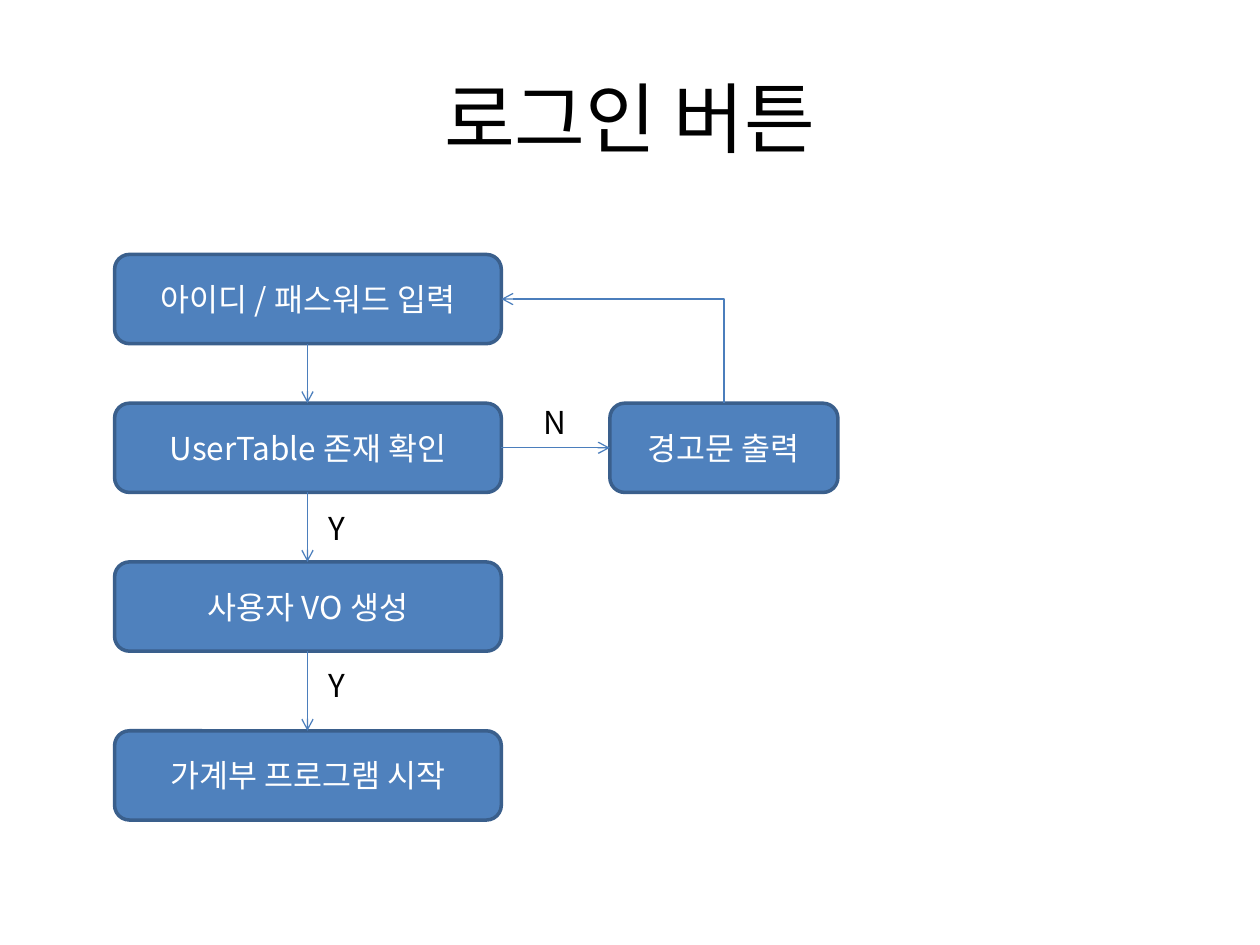
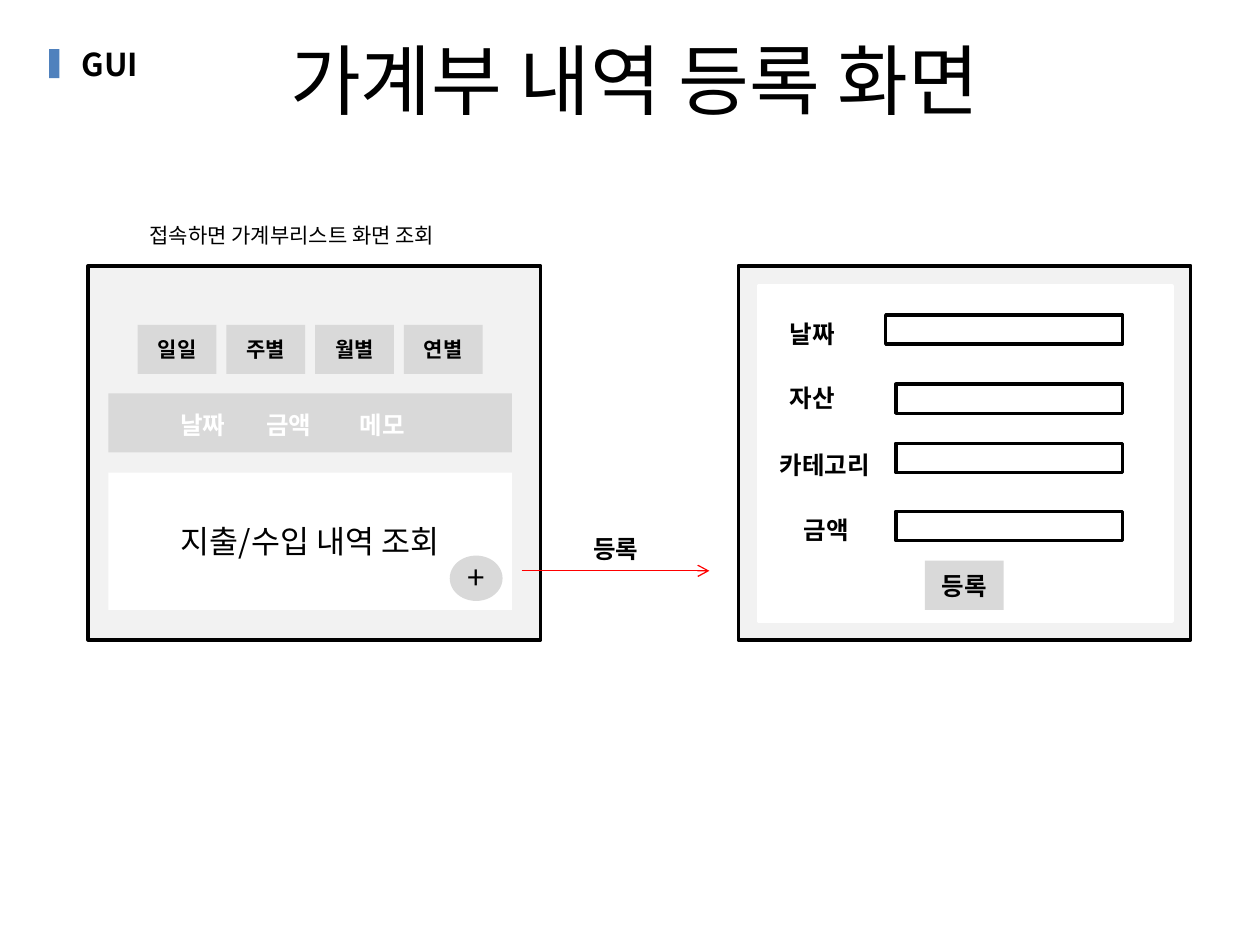
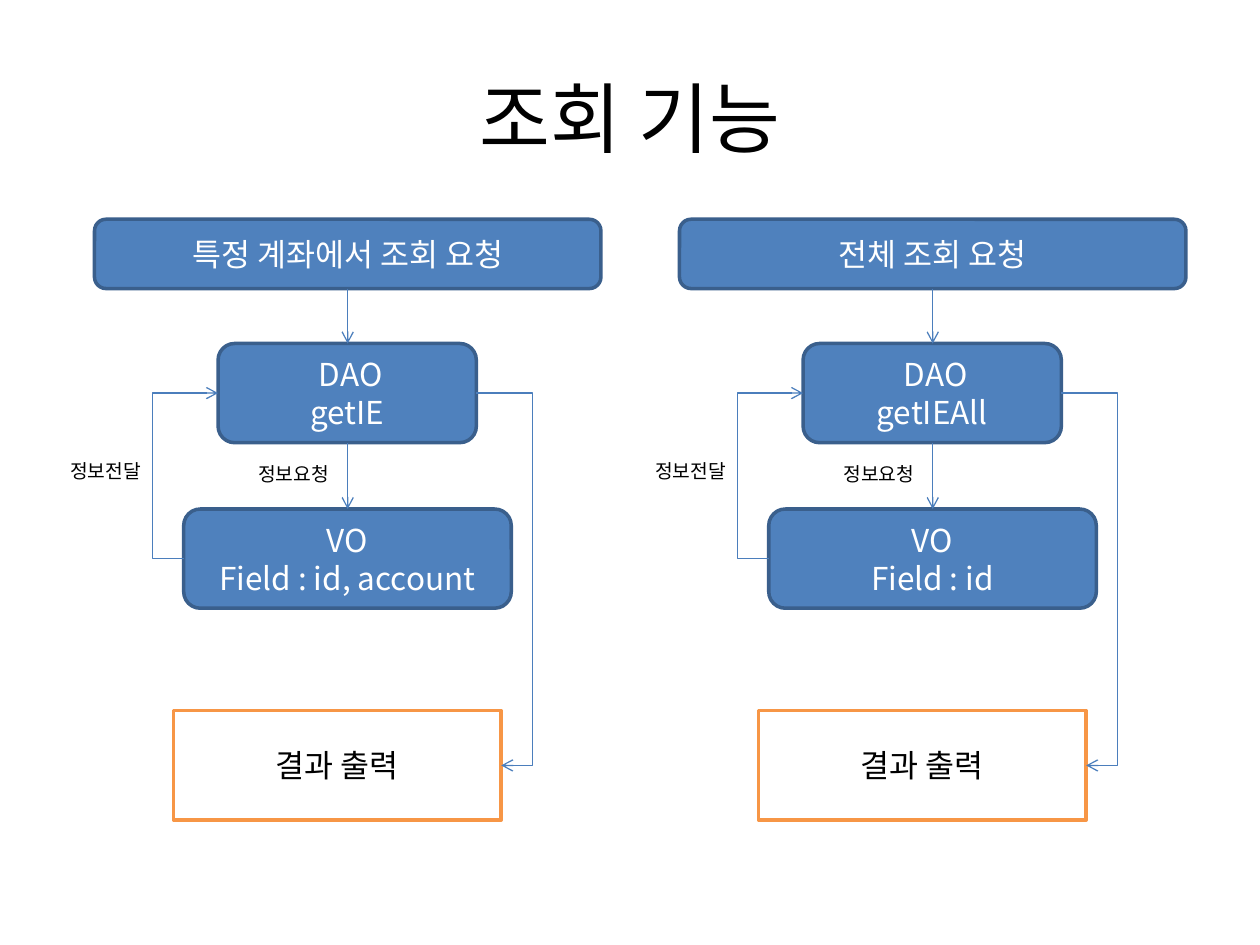
from dataclasses import dataclass

from lxml.etree import SubElement
from pptx import Presentation
from pptx.dml.color import RGBColor
from pptx.enum.shapes import MSO_CONNECTOR as Link, MSO_SHAPE as Preset
from pptx.enum.text import MSO_ANCHOR as Anchor, MSO_AUTO_SIZE as Fit, PP_ALIGN as Align
from pptx.oxml.ns import qn
from pptx.util import Pt

FONT = "Noto Sans CJK KR"
COLORS = {
    "blue": "4F81BD", "blue_edge": "3A5F8C", "arrow": "4B7EBC", "orange": "F79646",
    "red": "FF0000", "black": "000000", "white": "FFFFFF",
    "window": "F2F2F2", "button": "D9D9D9",
}


@dataclass(frozen=True)
class Style:
    preset: Preset
    fill: str
    edge: str | None = None
    text: str = "black"
    size: float = 18
    bold: bool = False


STEP = Style(Preset.ROUNDED_RECTANGLE, "blue", "blue_edge", "white")
RESULT = Style(Preset.RECTANGLE, "white", "orange")
WINDOW = Style(Preset.RECTANGLE, "window", "black")
FORM = Style(Preset.RECTANGLE, "white", "white")
FIELD = Style(Preset.RECTANGLE, "white", "black")
PANEL = Style(Preset.RECTANGLE, "white")
BAND = Style(Preset.RECTANGLE, "button")
TAB = Style(Preset.RECTANGLE, "button", size=12, bold=True)
BUTTON = Style(Preset.RECTANGLE, "button", size=14, bold=True)
ROUND_BUTTON = Style(Preset.OVAL, "button")
MARKER = Style(Preset.RECTANGLE, "blue")


@dataclass(frozen=True)
class Box:
    left: float
    top: float
    width: float
    height: float
    style: Style
    text: str = ""

    @property
    def right(self) -> float:
        return self.left + self.width

    @property
    def bottom(self) -> float:
        return self.top + self.height

    @property
    def center(self) -> float:
        return self.left + self.width / 2

    @property
    def middle(self) -> float:
        return self.top + self.height / 2


def rgb(name: str) -> RGBColor:
    return RGBColor.from_string(COLORS[name])


def write(frame, text: str, *, size: float = 18, color: str = "black", bold: bool = False,
          align=Align.CENTER, anchor=Anchor.TOP, wrap: bool = True, fit=Fit.NONE,
          tabs: tuple[float, ...] = ()) -> None:
    frame.word_wrap = wrap
    frame.auto_size = fit
    frame.vertical_anchor = anchor
    for index, line in enumerate(text.split("\n")):
        para = frame.add_paragraph() if index else frame.paragraphs[0]
        para.alignment = align
        span = para.add_run()
        span.text = line
        span.font.size = Pt(size)
        span.font.bold = bold
        span.font.color.rgb = rgb(color)
        span.font.name = FONT
        SubElement(span.font._element, qn("a:ea"), typeface=FONT)
        if tabs:
            stops = SubElement(para._p.get_or_add_pPr(), qn("a:tabLst"))
            for stop in tabs:
                SubElement(stops, qn("a:tab"), pos=str(Pt(stop)), algn="l")


def add_title(page, text: str, left: float = 36, top: float = 21.6, width: float = 648,
              height: float = 90, anchor=Anchor.MIDDLE) -> None:
    title = page.shapes.title
    title.left, title.top, title.width, title.height = map(Pt, (left, top, width, height))
    write(title.text_frame, text, size=44, anchor=anchor)


def add_box(page, box: Box) -> None:
    style = box.style
    shape = page.shapes.add_shape(style.preset, Pt(box.left), Pt(box.top),
                                  Pt(box.width), Pt(box.height))
    shape.shadow.inherit = False
    shape.fill.solid()
    shape.fill.fore_color.rgb = rgb(style.fill)
    if style.edge:
        shape.line.color.rgb = rgb(style.edge)
        shape.line.width = Pt(2)
    else:
        shape.line.fill.background()
    if box.text:
        write(shape.text_frame, box.text, size=style.size, color=style.text,
              bold=style.bold, anchor=Anchor.MIDDLE)


def add_label(page, text: str, left: float, top: float, width: float, height: float,
              **text_format) -> None:
    label = page.shapes.add_textbox(Pt(left), Pt(top), Pt(width), Pt(height))
    write(label.text_frame, text, fit=Fit.SHAPE_TO_FIT_TEXT, **text_format)


def add_arrow(page, x1: float, y1: float, x2: float, y2: float, *, color: str = "arrow",
              kind=Link.STRAIGHT):
    arrow = page.shapes.add_connector(kind, Pt(x1), Pt(y1), Pt(x2), Pt(y2))
    arrow.line.color.rgb = rgb(color)
    arrow.line.width = Pt(0.75)
    properties = arrow._element.spPr
    SubElement(properties.find(qn("a:ln")), qn("a:tailEnd"), type="arrow")
    SubElement(properties, qn("a:effectLst"))
    return arrow


def add_side_arrow(page, x1: float, y1: float, x2: float, y2: float, via: float) -> None:
    """Run sideways to x = via, then vertically, then back to the end."""
    arrow = add_arrow(page, x1, y1, x2, y2, kind=Link.ELBOW)
    geometry = arrow._element.spPr.find(qn("a:prstGeom"))
    guides = geometry.find(qn("a:avLst"))
    if guides is None:
        guides = SubElement(geometry, qn("a:avLst"))
    bend = round((via - x1) / (x2 - x1) * 100000)
    SubElement(guides, qn("a:gd"), name="adj1", fmla=f"val {bend}")


def add_up_left_arrow(page, x1: float, y1: float, x2: float, y2: float) -> None:
    """Run up and then left: a one-bend connector turned by 270 degrees."""
    center, middle = (x1 + x2) / 2, (y1 + y2) / 2
    half_width, half_height = (y1 - y2) / 2, (x1 - x2) / 2
    arrow = add_arrow(page, center - half_width, middle + half_height,
                      center + half_width, middle - half_height, kind=Link.ELBOW)
    properties = arrow._element.spPr
    properties.find(qn("a:prstGeom")).set("prst", "bentConnector2")
    properties.find(qn("a:xfrm")).set("rot", str(270 * 60000))


def build_login(page) -> None:
    add_title(page, "로그인 버튼")
    steps = [
        Box(65.5, top, 221, 51, STEP, text)
        for top, text in (
            (145.4, "아이디 / 패스워드 입력"),
            (230.4, "UserTable 존재 확인"),
            (321.1, "사용자 VO 생성"),
            (417.6, "가계부 프로그램 시작"),
        )
    ]
    warning = Box(348.5, 230.4, 130.3, 51, STEP, "경고문 출력")
    for box in (*steps, warning):
        add_box(page, box)

    # Flow between the steps
    for upper, lower in zip(steps, steps[1:]):
        add_arrow(page, 175.7, upper.bottom, 175.7, lower.top)
    entry, check = steps[:2]
    add_arrow(page, check.right, check.middle, warning.left, warning.middle)
    add_up_left_arrow(page, warning.center, warning.top, entry.right, entry.middle)

    # Answers
    for text, left, top in (("Y", 172.8, 287.3), ("N", 297.4, 226.8), ("Y", 172.8, 377.3)):
        add_label(page, text, left, top, 39.6, 28.8)


def build_screens(page) -> None:
    add_title(page, "가계부 내역 등록 화면", 133.2, 15.1, 459.4, 60.5, Anchor.TOP)
    add_label(page, "GUI", 39.6, 22.3, 270, 28.8, bold=True, align=Align.LEFT)
    add_box(page, Box(28.1, 28.1, 5.8, 16.6, MARKER))

    # List window
    add_box(page, Box(50.4, 151.9, 258.5, 213.8, WINDOW))
    for index, text in enumerate(("일일", "주별", "월별", "연별")):
        add_box(page, Box(78.7 + 50.7 * index, 185.6, 45, 28.1, TAB, text))
    add_box(page, Box(61.9, 224.8, 230.6, 33.8, BAND))
    add_box(page, Box(61.9, 270, 230.6, 78.5, PANEL, "지출/수입 내역 조회"))
    add_label(page, "날짜\t금액\t메모", 95.8, 230.4, 163.4, 24.5, size=14, color="white",
              bold=True, align=Align.LEFT, anchor=Anchor.MIDDLE, tabs=(49.3, 102.8))
    add_label(page, "접속하면 가계부리스트 화면 조회", 78.5, 123.8, 197.3, 21.6, size=12,
              align=Align.LEFT, wrap=False)
    add_box(page, Box(257, 317.5, 30.2, 25.9, ROUND_BUTTON))
    add_label(page, "+", 259.9, 315.4, 27.4, 28.8, align=Align.LEFT, wrap=False)

    # Entry window
    add_box(page, Box(421.9, 151.9, 258.5, 213.8, WINDOW))
    add_box(page, Box(433.4, 163.4, 236.2, 191.5, FORM))
    add_arrow(page, 298.1, 326.2, 405.4, 326.2, color="red")
    for text, left, top, width in (
        ("등록", 331.9, 301.7, 42.5),
        ("날짜", 444.2, 178.6, 42.5),
        ("자산", 444.2, 215.3, 42.5),
        ("카테고리", 438.5, 253.4, 71.3),
        ("금액", 452.2, 290.9, 42.5),
    ):
        add_label(page, text, left, top, width, 24.5, size=14, bold=True,
                  align=Align.LEFT, wrap=False)
    field_right = 641.5
    for top, width in ((180, 135.4), (219.6, 129.6), (253.4, 129.6), (292.3, 129.6)):
        add_box(page, Box(field_right - width, top, width, 16.6, FIELD))
    add_box(page, Box(528.5, 320.4, 45, 28.1, BUTTON, "등록"))


def build_lookup(page) -> None:
    add_title(page, "조회 기능")
    flows = (
        ("특정 계좌에서 조회 요청", "getIE", "id, account"),
        ("전체 조회 요청", "getIEAll", "id"),
    )
    for index, (request_text, method, fields) in enumerate(flows):
        shift = 334.3 * index
        request = Box(54 + shift, 125.3, 289.4, 39.6, STEP, request_text)
        dao = Box(124.6 + shift, 196.3, 147.6, 56.7, STEP, f" DAO\n{method}")
        record = Box(105 + shift, 290.9, 187.2, 56.7, STEP, f"VO\nField : {fields}")
        result = Box(99.2 + shift, 406.1, 187.2, 62.6, RESULT, "결과 출력")
        for box in (request, dao, record, result):
            add_box(page, box)

        for upper, lower in ((request, dao), (dao, record)):
            add_arrow(page, request.center, upper.bottom, request.center, lower.top)
        add_side_arrow(page, record.left, record.middle, dao.left, dao.middle, 87 + shift)
        add_side_arrow(page, dao.right, dao.middle, result.right, result.middle,
                       304.4 + shift)

        for text, left, top in (("정보요청", 127.6, 260.6), ("정보전달", 20.1, 258.7)):
            add_label(page, text, left + shift, top, 80.6, 20.9, size=11)


def main() -> None:
    deck = Presentation()
    deck.slide_width, deck.slide_height = Pt(720), Pt(540)
    title_only = deck.slide_layouts.get_by_name("Title Only")
    for build in (build_login, build_screens, build_lookup):
        build(deck.slides.add_slide(title_only))
    deck.save("out.pptx")


if __name__ == "__main__":
    main()
